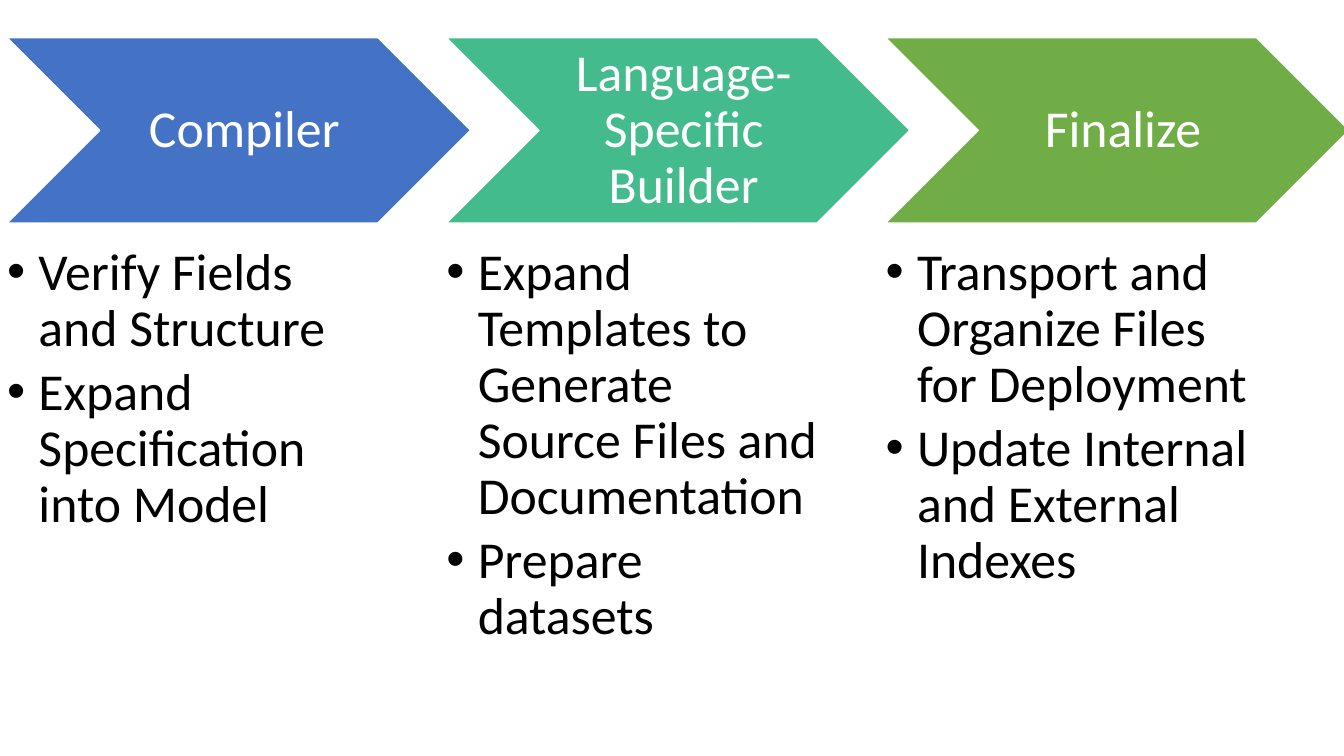
import lxml.etree
import pptx
import pptx.dml.color
import pptx.enum.shapes
import pptx.enum.text
import pptx.oxml.ns
import pptx.util
from pptx.util import Cm

COLORS = {
    "blue": "4472C4",
    "teal": "43BB8D",
    "green": "70AD47",
    "white": "FFFFFF",
    "black": "000000",
}
STAGES = [
    ("Compiler", "blue",
     ["Verify Fields and Structure", "Expand Specification into Model"]),
    ("Language-Specific Builder", "teal",
     ["Expand Templates to Generate Source Files and Documentation",
      "Prepare datasets"]),
    ("Finalize", "green",
     ["Transport and Organize Files for Deployment",
      "Update Internal and External Indexes"]),
]
FIRST_LEFT = 0.18
STAGE_PITCH = 11.07
COMPARISON_LAYOUT = 4


def color(name):
    return pptx.dml.color.RGBColor.from_string(COLORS[name])


def set_frame(frame, anchor, margins):
    frame.word_wrap = True
    frame.auto_size = pptx.enum.text.MSO_AUTO_SIZE.NONE
    frame.vertical_anchor = anchor
    (frame.margin_left, frame.margin_top,
     frame.margin_right, frame.margin_bottom) = map(Cm, margins)


def format_paragraph(paragraph, alignment, color_name, space_after):
    paragraph.alignment = alignment
    paragraph.line_spacing = 0.9
    paragraph.space_before = pptx.util.Pt(0)
    paragraph.space_after = pptx.util.Pt(space_after)
    font = paragraph.font
    font.name = "Calibri"
    font.size = pptx.util.Pt(37)
    font.bold = False
    font.color.rgb = color(color_name)


def add_bullet(paragraph):
    properties = paragraph._p.get_or_add_pPr()
    properties.set("marL", str(Cm(0.79)))
    properties.set("indent", str(-Cm(0.79)))
    for tag, name, value in (("a:buFont", "typeface", "Arial"),
                             ("a:buChar", "char", "•")):
        bullet = lxml.etree.SubElement(properties, pptx.oxml.ns.qn(tag))
        bullet.set(name, value)


def add_chevron(page, left, label, fill_name):
    chevron = page.shapes.add_shape(
        pptx.enum.shapes.MSO_SHAPE.CHEVRON,
        Cm(left), Cm(0.95), Cm(11.68), Cm(4.67))
    chevron.shadow.inherit = False
    chevron.fill.solid()
    chevron.fill.fore_color.rgb = color(fill_name)
    chevron.line.color.rgb = color("white")
    chevron.line.width = pptx.util.Pt(1)
    frame = chevron.text_frame
    set_frame(frame, pptx.enum.text.MSO_ANCHOR.MIDDLE, (0.41, 0.13, 0.13, 0.13))
    frame.text = label
    format_paragraph(frame.paragraphs[0], pptx.enum.text.PP_ALIGN.CENTER, "white", 0)


def fill_list(body, left, items):
    body.left, body.top = Cm(left), Cm(6.2)
    body.width, body.height = Cm(9.35), Cm(11.91)
    frame = body.text_frame
    set_frame(frame, pptx.enum.text.MSO_ANCHOR.TOP, (0, 0, 0, 0))
    frame.text = "\n".join(items)
    for paragraph in frame.paragraphs:
        paragraph.space_after = pptx.util.Pt(5.5)
        paragraph.space_before = pptx.util.Pt(0)
        paragraph.line_spacing = 0.9
        add_bullet(paragraph)
        format_paragraph(paragraph, pptx.enum.text.PP_ALIGN.LEFT, "black", 5.5)


def remove_empty_placeholders(page):
    for placeholder in list(page.placeholders):
        if not placeholder.text_frame.text:
            placeholder.element.getparent().remove(placeholder.element)


def main():
    deck = pptx.Presentation()
    deck.slide_width, deck.slide_height = Cm(33.87), Cm(19.05)
    page = deck.slides.add_slide(deck.slide_layouts[COMPARISON_LAYOUT])
    bodies = list(page.placeholders)[1:]
    for index, (label, fill_name, items) in enumerate(STAGES):
        left = FIRST_LEFT + index * STAGE_PITCH
        add_chevron(page, left, label, fill_name)
        fill_list(bodies[index], left, items)
    remove_empty_placeholders(page)
    deck.save("out.pptx")


main()
